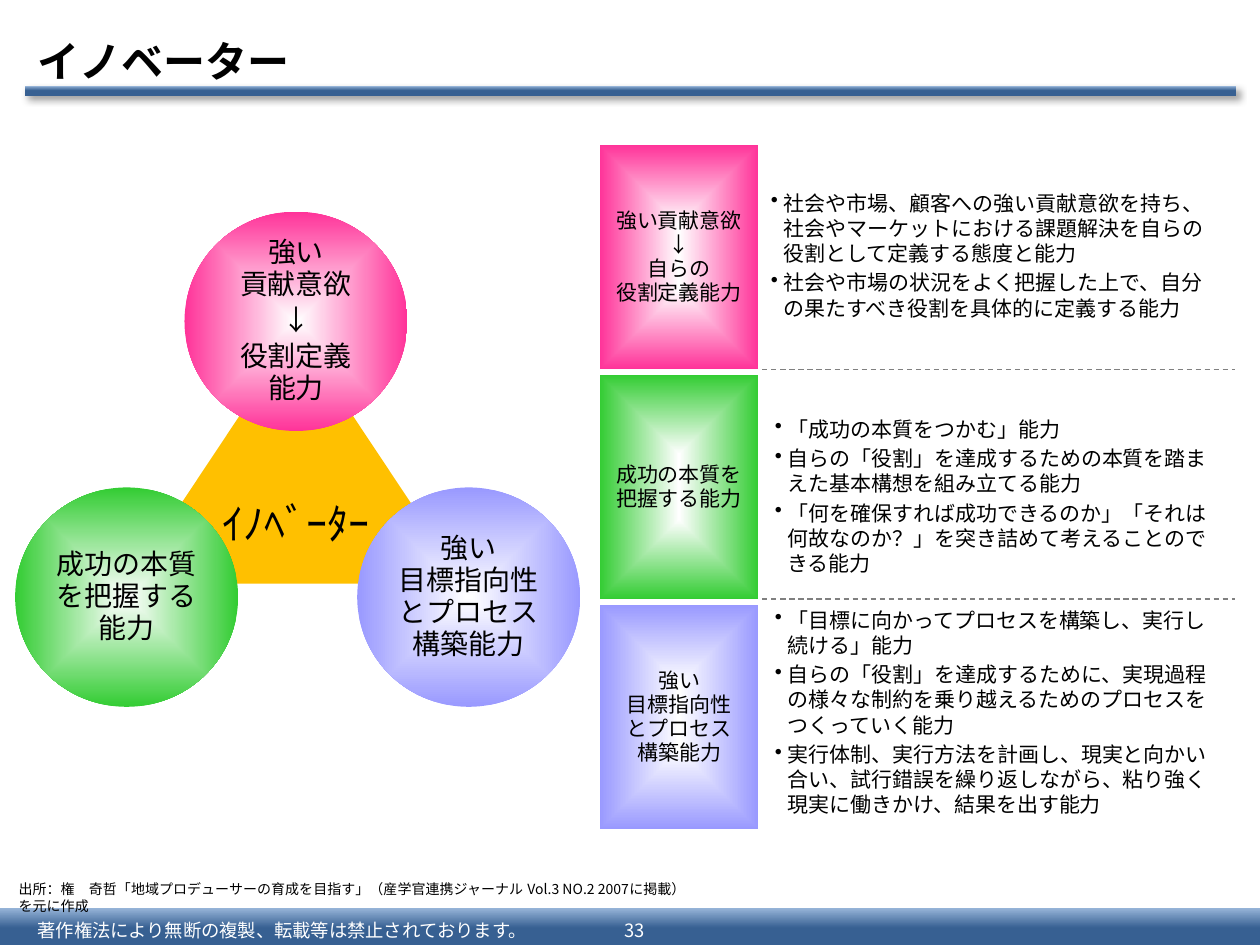
from collections import namedtuple

from lxml import etree
from pptx import Presentation
from pptx import util as u
from pptx.dml.color import RGBColor
from pptx.enum import dml, shapes, text
from pptx.oxml import parse_xml
from pptx.oxml.ns import nsdecls, qn

FONT = "Noto Sans CJK JP"
BLACK = RGBColor(0x00, 0x00, 0x00)
WHITE = RGBColor(0xFF, 0xFF, 0xFF)
GREY = RGBColor(0x80, 0x80, 0x80)
NAVY = RGBColor(0x37, 0x60, 0x92)
SKY = RGBColor(0x95, 0xB3, 0xD7)
AMBER = RGBColor(0xFF, 0xC0, 0x00)
PINK = RGBColor(0xFF, 0x33, 0x99)
GREEN = RGBColor(0x33, 0xCC, 0x33)
VIOLET = RGBColor(0x99, 0x99, 0xFF)

CENTER, LEFT = text.PP_ALIGN.CENTER, text.PP_ALIGN.LEFT
TOP, MIDDLE = text.MSO_ANCHOR.TOP, text.MSO_ANCHOR.MIDDLE
KIND = shapes.MSO_SHAPE
BAR_STOPS = ((0, NAVY), (50, NAVY), (100, SKY))
BAR_PATH = '<a:lin ang="16200000" scaled="0"/>'
GLOW_PATH = ('<a:path path="shape"><a:fillToRect l="50000" t="50000" '
             'r="50000" b="50000"/></a:path>')

Box = namedtuple("Box", "left top width height")

CIRCLES = [
    (0.3, 0, PINK, ["強い\n貢献意欲", "↓", "役割定義\n能力"]),
    (0.606, 0.557, VIOLET, ["強い\n目標指向性とプロセス\n構築能力"]),
    (0, 0.557, GREEN, ["成功の本質を把握する能力"]),
]

ABILITIES = [
    (PINK, "強い貢献意欲\n↓\n自らの\n役割定義能力", 0.25, 0.31, 1.15, [
        "社会や市場、顧客への強い貢献意欲を持ち、社会やマーケットにおける課題解決を自らの役割として定義する態度と能力",
        "社会や市場の状況をよく把握した上で、自分の果たすべき役割を具体的に定義する能力"]),
    (GREEN, "成功の本質を\n把握する能力", 0.256, 0.28, 1.39, [
        "「成功の本質をつかむ」能力",
        "自らの「役割」を達成するための本質を踏まえた基本構想を組み立てる能力",
        "「何を確保すれば成功できるのか」「それは何故なのか？」を突き詰めて考えることのできる能力"]),
    (VIOLET, "強い\n目標指向性\nとプロセス\n構築能力", 0.256, -0.03, 1.78, [
        "「目標に向かってプロセスを構築し、実行し続ける」能力",
        "自らの「役割」を達成するために、実現過程の様々な制約を乗り越えるためのプロセスをつくっていく能力",
        "実行体制、実行方法を計画し、現実と向かい合い、試行錯誤を繰り返しながら、粘り強く現実に働きかけ、結果を出す能力"]),
]


def inches(box):
    return [u.Inches(length) for length in box]


def add_gradient(shape, stops, direction):
    marks = "".join(
        f'<a:gs pos="{place * 1000}"><a:srgbClr val="{color}"/></a:gs>'
        for place, color in stops)
    shape.fill.background()
    old = shape._element.spPr.find(qn("a:noFill"))
    new = parse_xml(f'<a:gradFill {nsdecls("a")} rotWithShape="1">'
                    f'<a:gsLst>{marks}</a:gsLst>{direction}</a:gradFill>')
    old.getparent().replace(old, new)


def add_shape(page, kind, box):
    shape = page.shapes.add_shape(kind, *inches(box))
    shape.shadow.inherit = False
    shape.line.fill.background()
    return shape


def write(shape, lines, size, color=BLACK, align=LEFT, anchor=MIDDLE,
          margins=(0.1, 0.05), spacing=None, before=0, after=0, bold=False,
          bullets=False, wrap=True):
    frame = shape.text_frame
    frame.word_wrap = wrap
    frame.vertical_anchor = anchor
    frame.margin_left = frame.margin_right = u.Inches(margins[0])
    frame.margin_top = frame.margin_bottom = u.Inches(margins[1])
    for index, line in enumerate(lines):
        para = frame.add_paragraph() if index else frame.paragraphs[0]
        para.text = line
        para.alignment = align
        para.line_spacing = spacing
        para.space_before = u.Pt(size * before)
        para.space_after = u.Pt(size * after)
        if bullets:
            props = para._p.get_or_add_pPr()
            props.set("marL", str(u.Inches(0.1)))
            props.set("indent", str(-u.Inches(0.1)))
            etree.SubElement(props, qn("a:buChar")).set("char", "•")
        para.font.size = u.Pt(size)
        para.font.bold = bold
        para.font.color.rgb = color
        para.font.name = FONT
        latin = para.font._element.find(qn("a:latin"))
        latin.addnext(parse_xml(f'<a:ea {nsdecls("a")} typeface="{FONT}"/>'))


def add_text(page, box, lines, size, **style):
    write(page.shapes.add_textbox(*inches(box)), lines, size, **style)


def add_header(page, box):
    bar = add_shape(page, KIND.RECTANGLE,
                    Box(box.left, box.top + 0.47, box.width, 0.08))
    add_gradient(bar, BAR_STOPS, BAR_PATH)
    effects = bar._element.spPr.find(qn("a:effectLst"))
    effects.append(parse_xml(
        f'<a:outerShdw {nsdecls("a")} blurRad="{u.Pt(4)}" dist="{u.Pt(3)}" '
        'dir="2700000" algn="tl" rotWithShape="0"><a:srgbClr val="000000">'
        '<a:alpha val="40000"/></a:srgbClr></a:outerShdw>'))
    title = page.shapes.title
    title.left, title.top, title.width, title.height = inches(box)
    write(title, ["イノベーター"], 24, bold=True)


def add_footer(page, box):
    band = add_shape(page, KIND.RECTANGLE, box)
    add_gradient(band, BAR_STOPS, BAR_PATH)
    top = box.top + 0.04
    style = dict(color=WHITE, margins=(0.1, 0.04))
    add_text(page, Box(0.2, top, 4.25, 0.26),
             ["著作権法により無断の複製、転載等は禁止されております。"], 10.5, **style)
    add_text(page, Box(4.76, top, 0.55, 0.26), ["33"], 10.5,
             align=CENTER, **style)


def add_diagram(page, box):
    triangle = add_shape(page, KIND.ISOSCELES_TRIANGLE, Box(
        box.left + box.width * 0.2, box.top + box.height * 0.24,
        box.width * 0.596, box.height * 0.511))
    triangle.fill.solid()
    triangle.fill.fore_color.rgb = AMBER
    write(triangle, ["ｲﾉﾍﾞｰﾀｰ"], 24, align=CENTER, margins=(0.1, 0.03),
          spacing=1.1, before=0.25, wrap=False)
    for across, down, color, lines in CIRCLES:
        circle = add_shape(page, KIND.OVAL, Box(
            box.left + box.width * across, box.top + box.height * down,
            box.width * 0.395, box.height * 0.443))
        add_label(circle, color, lines, 16)


def add_label(shape, color, lines, size):
    add_gradient(shape, ((0, WHITE), (100, color)), GLOW_PATH)
    write(shape, lines, size, align=CENTER, margins=(0.02, 0.05),
          spacing=0.95, before=0.05, after=0.1)


def add_divider(page, left, right, top):
    line = page.shapes.add_connector(
        shapes.MSO_CONNECTOR.STRAIGHT, *inches((left, top, right, top)))
    line.line.color.rgb = GREY
    line.line.width = u.Pt(0.75)
    line.line.dash_style = dml.MSO_LINE.DASH
    etree.SubElement(line._element.spPr, qn("a:effectLst"))


def add_abilities(page, box):
    gap = 0.045
    height = (box.height - 2 * gap) / 3
    for row, (color, label, across, down, tall, points) in enumerate(ABILITIES):
        top = box.top + row * (height + gap)
        tile = add_shape(page, KIND.RECTANGLE, Box(
            box.left, top, box.width * 0.25, height))
        add_label(tile, color, [label], 12)
        add_text(page, Box(box.left + box.width * across, top + down, 3.69, tall),
                 points, 12, anchor=TOP, before=0.1, after=0.1, bullets=True)
        if row < 2:
            add_divider(page, box.left + box.width * 0.256,
                        box.left + box.width, top + height)


def main():
    deck = Presentation()
    deck.slide_width, deck.slide_height = u.Inches(10), u.Inches(7.5)
    page = deck.slides.add_slide(deck.slide_layouts[5])
    add_footer(page, Box(0, 7.21, 10, 0.31))
    add_header(page, Box(0.2, 0.21, 9.61, 0.54))
    add_diagram(page, Box(0.12, 1.68, 4.48, 3.93))
    add_abilities(page, Box(4.76, 1.15, 5.04, 5.43))
    add_text(page, Box(0.05, 6.94, 5.56, 0.23),
             ["出所：権　奇哲「地域プロデューサーの育成を目指す」（産学官連携ジャーナル Vol.3 NO.2 2007に掲載）を元に作成"],
             8, anchor=TOP)
    deck.save("out.pptx")


if __name__ == "__main__":
    main()
